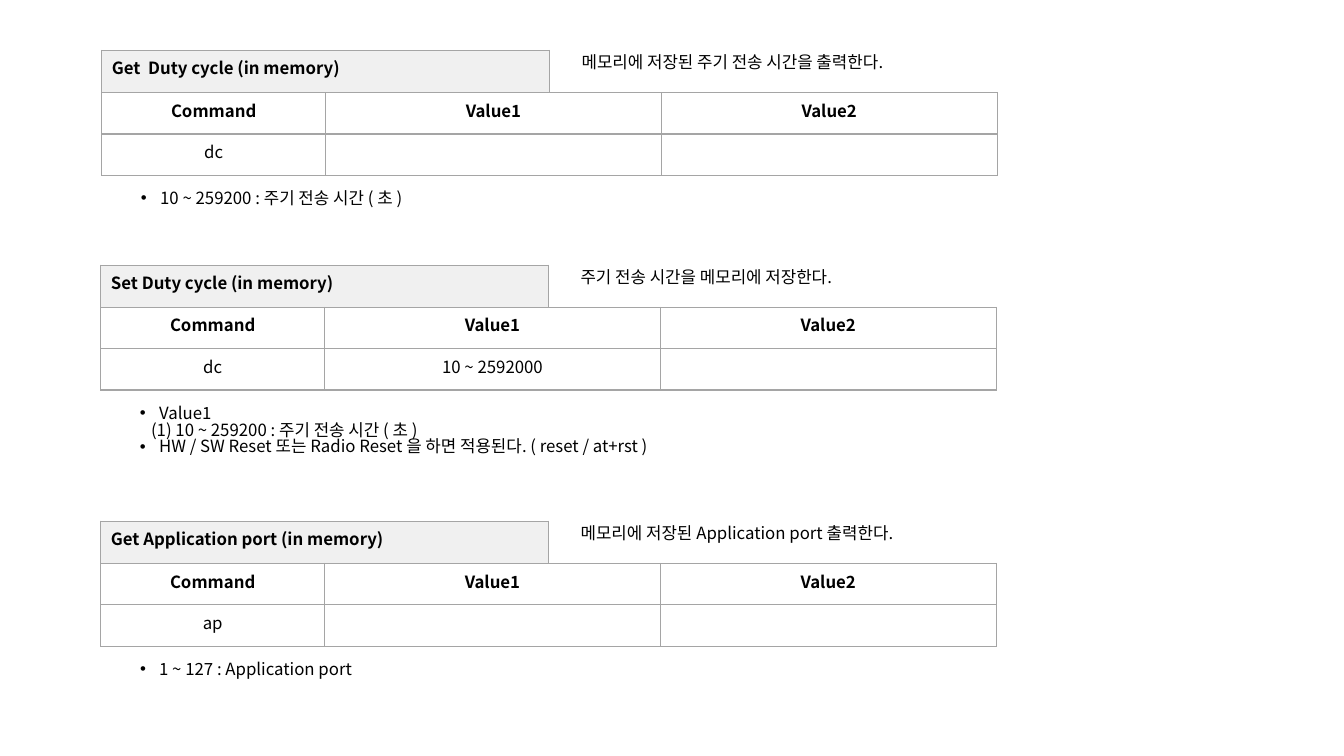
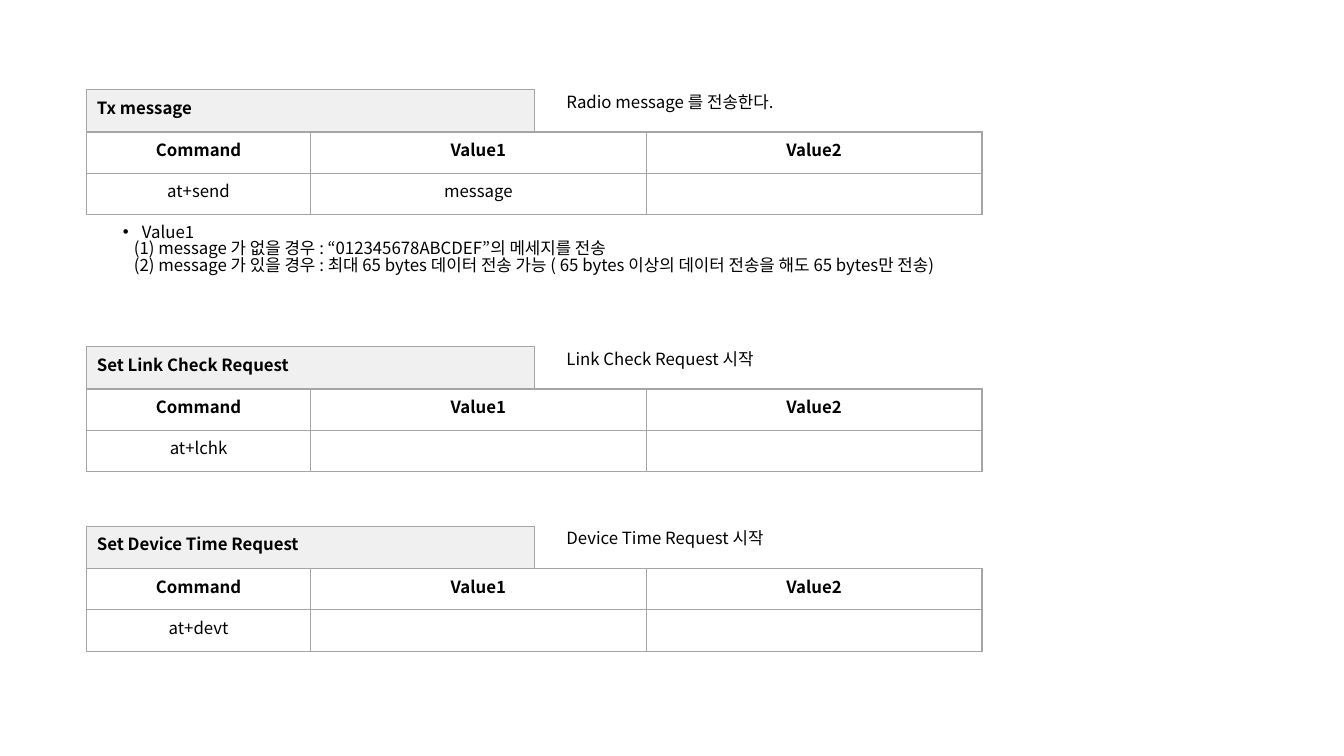
from lxml import etree
from pptx import Presentation
from pptx.dml.color import RGBColor
from pptx.enum.text import MSO_AUTO_SIZE, PP_ALIGN
from pptx.oxml.ns import qn
from pptx.util import Pt

PX = 9144
FONT = "Noto Sans CJK KR"
BLACK = RGBColor(0x00, 0x00, 0x00)
BORDER = RGBColor(0xA5, 0xA5, 0xA5)
BAND = RGBColor(0xF0, 0xF0, 0xF0)
LEFT, CENTER = PP_ALIGN.LEFT, PP_ALIGN.CENTER
GROW = MSO_AUTO_SIZE.SHAPE_TO_FIT_TEXT

BAND_WIDTH, BAND_HEIGHT = 444, 42
COLUMNS = (222, 333, 333)
ROW_HEIGHT = 41
SUMMARY_OFFSET = 466
LINE_HEIGHT = 20
BULLET_INDENT = 19
DETAIL_INDENT = 11
HEADINGS = ("Command", "Value1", "Value2")


def write(paragraph, text, bold=False, align=LEFT, spacing=None):
    paragraph.alignment = align
    if spacing:
        paragraph.line_spacing = spacing
    span = paragraph.add_run()
    span.text = text
    span.font.name = FONT
    span.font.size = Pt(12)
    span.font.bold = bold
    span.font.color.rgb = BLACK
    etree.SubElement(span.font._element, qn("a:ea"), typeface=FONT)


def indent(paragraph, margin, bullet=False):
    properties = paragraph._p.get_or_add_pPr()
    properties.set("marL", str(margin * PX))
    if bullet:
        properties.set("indent", str(-margin * PX))
        etree.SubElement(properties, qn("a:buFont"), typeface="Arial")
        etree.SubElement(properties, qn("a:buChar"), char="•")


def outline(cell):
    properties = cell._tc.get_or_add_tcPr()
    for side in ("lnL", "lnR", "lnT", "lnB"):
        line = etree.SubElement(properties, qn(f"a:{side}"), w=str(Pt(1)))
        fill = etree.SubElement(line, qn("a:solidFill"))
        etree.SubElement(fill, qn("a:srgbClr"), val=str(BORDER))


class CommandSheet:
    def __init__(self):
        self.deck = Presentation()
        self.deck.slide_width = 1333 * PX
        self.deck.slide_height = 750 * PX
        self.slide = None

    def add_slide(self):
        self.slide = self.deck.slides.add_slide(self.deck.slide_layouts[6])

    def table(self, left, top, columns, row_height, rows, align=CENTER, fill=None):
        frame = self.slide.shapes.add_table(
            len(rows), len(columns), left * PX, top * PX,
            sum(columns) * PX, row_height * len(rows) * PX)
        table = frame.table
        table.first_row = table.horz_banding = False
        for column, width in zip(table.columns, columns):
            column.width = width * PX
        for row_index, texts in enumerate(rows):
            table.rows[row_index].height = row_height * PX
            for column_index, text in enumerate(texts):
                cell = table.cell(row_index, column_index)
                outline(cell)
                if fill:
                    cell.fill.solid()
                    cell.fill.fore_color.rgb = fill
                else:
                    cell.fill.background()
                write(cell.text_frame.paragraphs[0], text,
                      bold=row_index == 0, align=align)

    def text(self, left, top, width, lines):
        box = self.slide.shapes.add_textbox(
            left * PX, top * PX, width * PX, (10 + LINE_HEIGHT * len(lines)) * PX)
        frame = box.text_frame
        frame.word_wrap = True
        frame.auto_size = GROW
        for index, (style, line) in enumerate(lines):
            paragraph = frame.add_paragraph() if index else frame.paragraphs[0]
            if style == "bullet":
                indent(paragraph, BULLET_INDENT, bullet=True)
            elif style == "detail":
                indent(paragraph, DETAIL_INDENT)
            write(paragraph, line, spacing=0.83)

    def command(self, left, top, title, summary, summary_width, values,
                notes=(), notes_width=0, notes_offset=(29, 135)):
        self.table(left, top, (BAND_WIDTH,), BAND_HEIGHT, [(title,)],
                   align=LEFT, fill=BAND)
        self.text(left + SUMMARY_OFFSET, top, summary_width, [("plain", summary)])
        self.table(left, top + BAND_HEIGHT, COLUMNS, ROW_HEIGHT, [HEADINGS, values])
        if notes:
            across, down = notes_offset
            self.text(left + across, top + down, notes_width, notes)


def main():
    sheet = CommandSheet()

    sheet.add_slide()
    sheet.command(
        101, 50, "Get  Duty cycle (in memory)",
        "메모리에 저장된 주기 전송 시간을 출력한다.", 363, ("dc", "", ""),
        [("bullet", "10 ~ 259200 : 주기 전송 시간 ( 초 )")], 322)
    sheet.command(
        100, 263, "Set Duty cycle (in memory)",
        "주기 전송 시간을 메모리에 저장한다.", 306, ("dc", "10 ~ 2592000", ""),
        [("bullet", "Value1"),
         ("detail", "(1) 10 ~ 259200 : 주기 전송 시간 ( 초 )"),
         ("bullet", "HW / SW Reset 또는 Radio Reset 을 하면 적용된다. ( reset / at+rst )")],
        600)
    sheet.command(
        100, 517, "Get Application port (in memory)",
        "메모리에 저장된 Application port 출력한다.", 352, ("ap", "", ""),
        [("bullet", "1 ~ 127 : Application port")], 252)

    sheet.add_slide()
    sheet.command(
        86, 89, "Tx message", "Radio message 를 전송한다.", 230,
        ("at+send", "message", ""),
        [("bullet", "Value1"),
         ("detail", "(1) message 가 없을 경우 : “012345678ABCDEF”의 메세지를 전송"),
         ("detail", "(2) message 가 있을 경우 : 최대 65 bytes 데이터 전송 가능 "
                    "( 65 bytes 이상의 데이터 전송을 해도 65 bytes만 전송)")],
        906, notes_offset=(26, 129))
    sheet.command(
        86, 344, "Set Link Check Request", "Link Check Request 시작", 209,
        ("at+lchk", "", ""))
    sheet.command(
        86, 522, "Set Device Time Request", "Device Time Request 시작", 226,
        ("at+devt", "", ""))

    sheet.deck.save("out.pptx")


if __name__ == "__main__":
    main()
